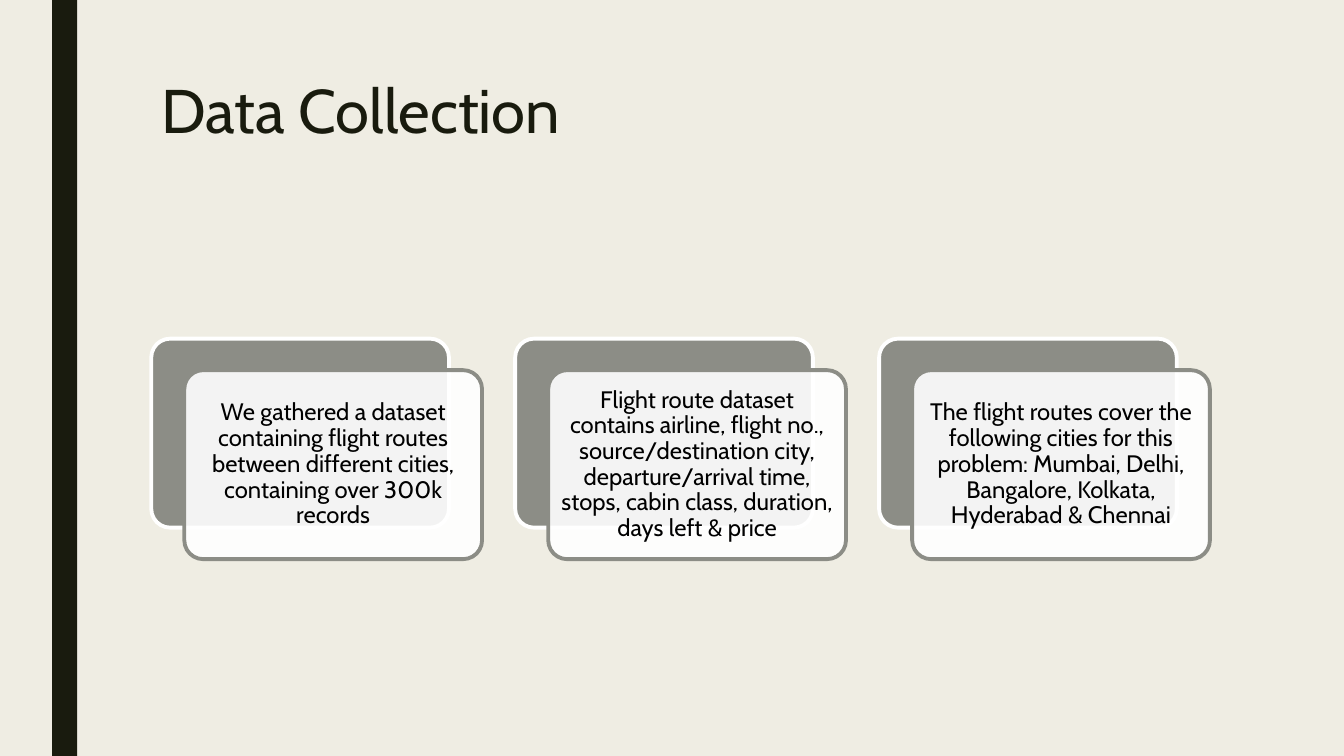
from lxml.etree import SubElement
from pptx import Presentation
from pptx.dml.color import RGBColor
from pptx.enum.shapes import MSO_SHAPE
from pptx.enum.text import MSO_ANCHOR, MSO_AUTO_SIZE, PP_ALIGN
from pptx.oxml.ns import qn
from pptx.util import Inches, Pt

COLORS = {
    "background": "EFEDE3",
    "ink": "191B0E",
    "stone": "8C8D86",
    "white": "FFFFFF",
    "black": "000000",
}

FACTS = [
    "We gathered a dataset containing flight routes between different cities, "
    "containing over 300k records",
    "Flight route dataset contains airline, flight no., source/destination city, "
    "departure/arrival time, stops, cabin class, duration, days left & price",
    "The flight routes cover the following cities for this problem: Mumbai, Delhi, "
    "Bangalore, Kolkata, Hyderabad & Chennai",
]

CARD_COLS, CARD_ROWS, CARD_PITCH, CARD_TOP = 9, 6, 11, 10.75


class Deck:
    FONT = "Cabin"
    MARGIN = Inches(1.5)
    COLUMN = Inches(10.5) / 32
    ROW = Inches(7.5) / 24

    def __init__(self):
        self.presentation = Presentation()
        self.presentation.slide_width = Inches(13.33)
        self.presentation.slide_height = Inches(7.5)
        self.slide = self.presentation.slides.add_slide(
            self.presentation.slide_layouts[5])
        backdrop = self.slide.background.fill
        backdrop.solid()
        backdrop.fore_color.rgb = self.color("background")

    def color(self, name):
        return RGBColor.from_string(COLORS[name])

    def place(self, col, row, cols, rows):
        return (round(self.MARGIN + col * self.COLUMN), round(row * self.ROW),
                round(cols * self.COLUMN), round(rows * self.ROW))

    def add_text(self, frame, text, size, color, align, spacing):
        frame.word_wrap = True
        frame.auto_size = MSO_AUTO_SIZE.NONE
        paragraph = frame.paragraphs[0]
        paragraph.alignment = align
        paragraph.line_spacing = spacing
        run = paragraph.add_run()
        run.text = text
        run.font.name = self.FONT
        run.font.size = Pt(size)
        run.font.color.rgb = self.color(color)

    def title(self, text, cell):
        heading = self.slide.shapes.title
        heading.left, heading.top, heading.width, heading.height = self.place(*cell)
        heading.text_frame.vertical_anchor = MSO_ANCHOR.TOP
        self.add_text(heading.text_frame, text, 44, "ink", PP_ALIGN.LEFT, 0.89)

    def panel(self, shapes, kind, cell, fill, line=None, opacity=100):
        panel = shapes.add_shape(kind, *self.place(*cell))
        panel.shadow.inherit = False
        panel.fill.solid()
        panel.fill.fore_color.rgb = self.color(fill)
        if opacity < 100:
            tint = panel.element.spPr.find(qn("a:solidFill"))[0]
            SubElement(tint, qn("a:alpha"), val=str(opacity * 1000))
        if line:
            panel.line.color.rgb = self.color(line)
            panel.line.width = Pt(2.75)
        else:
            panel.line.fill.background()
        return panel

    def bar(self, cell):
        self.panel(self.slide.shapes, MSO_SHAPE.RECTANGLE, cell, "ink")

    def card(self, shapes, text, col):
        rounded = MSO_SHAPE.ROUNDED_RECTANGLE
        back = self.panel(shapes, rounded, (col, CARD_TOP, CARD_COLS, CARD_ROWS),
                          "stone", "white")
        front = self.panel(shapes, rounded,
                           (col + 1, CARD_TOP + 1, CARD_COLS, CARD_ROWS),
                           "white", "stone", 90)
        back.adjustments[0] = front.adjustments[0] = 0.1
        frame = front.text_frame
        frame.vertical_anchor = MSO_ANCHOR.MIDDLE
        frame.margin_left = frame.margin_right = Inches(0.07)
        frame.margin_top = frame.margin_bottom = Inches(0.07)
        self.add_text(frame, text, 17, "black", PP_ALIGN.CENTER, 0.9)

    def cards(self, facts):
        shapes = self.slide.shapes.add_group_shape().shapes
        for index, fact in enumerate(facts):
            self.card(shapes, fact, index * CARD_PITCH)


def main():
    deck = Deck()
    deck.bar((-3, 0, 0.76, 24))
    deck.title("Data Collection", (0, 2.4, 32, 5.2))
    deck.cards(FACTS)
    deck.presentation.save("out.pptx")


if __name__ == "__main__":
    main()
